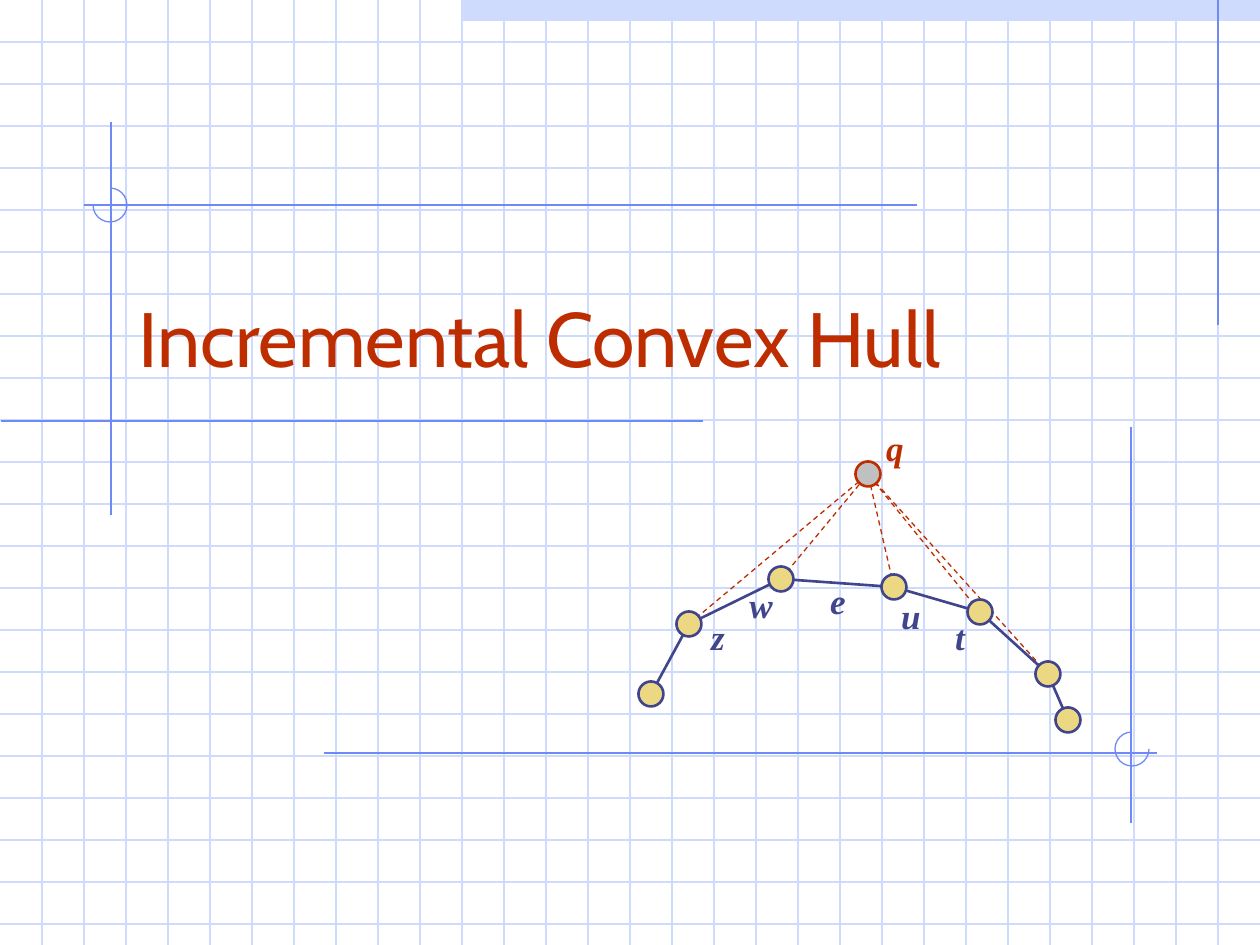
"""Build the Incremental Convex Hull title slide on graph paper."""
from dataclasses import dataclass

from lxml import etree
from pptx import Presentation, util as u
from pptx.dml.color import RGBColor
from pptx.enum import dml, shapes, text
from pptx.oxml.ns import qn

WIDTH, HEIGHT, PITCH = 1260, 945, 42
TITLE = "Incremental Convex Hull"
TITLE_BOX = (126, 231, 1071, 158)
BAR = (462, 0, 798, 21)
ACCENTS = [
    (1218, 0, 1218, 325),
    (111, 122, 111, 515),
    (703, 421, 1, 421),
    (917, 205, 84, 205),
    (324, 753, 1157, 753),
    (1131, 427, 1131, 823),
]
ARCS = [((110, 205), 270, 180), ((1132, 749), 0, 270)]
ARC_SIZE = 34
HULL = [(651, 694), (689, 624), (781, 579), (894, 587),
        (980, 612), (1048, 674), (1068, 720)]
QUERY = (868, 474)
NODE_SIZE = 25
LABELS = [("z", 718, 609), ("w", 761, 577), ("e", 838, 573),
          ("u", 911, 588), ("t", 960, 609)]
QUERY_LABEL = ("q", 895, 420)
LABEL_WIDTH, LABEL_HEIGHT = 66, 55


@dataclass(frozen=True)
class Theme:
    grid: str = "CFDBFD"
    accent: str = "6F89F7"
    red: str = "BE2D00"
    navy: str = "40458C"
    node: str = "ECD882"
    query: str = "C0C0C0"
    title_font: str = "Cabin"
    label_font: str = "Times New Roman"
    title_size: int = 44
    label_size: int = 20
    thin: float = 0.75
    thick: float = 1.5


THEME = Theme()


def px(*values):
    return [u.Emu(round(value * u.Inches(1) / 126)) for value in values]


def centred(point, size):
    return point[0] - size / 2, point[1] - size / 2, size, size


def style_line(line, color, weight):
    line.color.rgb = RGBColor.from_string(color)
    line.width = u.Pt(weight)


def add_line(page, ends, color, weight=THEME.thin, dashed=False):
    line = page.shapes.add_connector(shapes.MSO_CONNECTOR.STRAIGHT, *px(*ends))
    style_line(line.line, color, weight)
    if dashed:
        line.line.dash_style = dml.MSO_LINE.DASH
    etree.SubElement(line._element.spPr, qn("a:effectLst"))


def add_shape(page, kind, frame, fill=None, outline=None, weight=THEME.thin):
    shape = page.shapes.add_shape(kind, *px(*frame))
    shape.shadow.inherit = False
    if fill:
        shape.fill.solid()
        shape.fill.fore_color.rgb = RGBColor.from_string(fill)
    else:
        shape.fill.background()
    if outline:
        style_line(shape.line, outline, weight)
    else:
        shape.line.fill.background()
    return shape


def add_text(page, words, frame, font, size, color, anchor, align, strong=False):
    box = page.shapes.add_textbox(*px(*frame)).text_frame
    box.word_wrap = True
    box.vertical_anchor = anchor
    para = box.paragraphs[0]
    para.alignment = align
    span = para.add_run()
    span.text = words
    span.font.name = font
    span.font.size = u.Pt(size)
    span.font.bold = span.font.italic = strong
    span.font.color.rgb = RGBColor.from_string(color)


def add_label(page, label, color):
    letter, center, top = label
    frame = (center - LABEL_WIDTH / 2, top, LABEL_WIDTH, LABEL_HEIGHT)
    add_text(page, letter, frame, THEME.label_font, THEME.label_size, color,
             text.MSO_ANCHOR.TOP, text.PP_ALIGN.CENTER, strong=True)


def draw_paper(page):
    add_shape(page, shapes.MSO_SHAPE.RECTANGLE, BAR, THEME.grid)
    for y in range(PITCH, HEIGHT, PITCH):
        add_line(page, (0, y, WIDTH, y), THEME.grid)
    for x in range(PITCH, WIDTH, PITCH):
        add_line(page, (x, 0, x, HEIGHT), THEME.grid)
    for ends in ACCENTS:
        add_line(page, ends, THEME.accent)
    for center, start, end in ARCS:
        arc = add_shape(page, shapes.MSO_SHAPE.ARC, centred(center, ARC_SIZE),
                        outline=THEME.accent)
        arc.adjustments[0], arc.adjustments[1] = start * 0.6, end * 0.6


def draw_hull(page):
    for start, end in zip(HULL, HULL[1:]):
        add_line(page, start + end, THEME.navy, THEME.thick)
    for point in HULL[1:-1]:
        add_line(page, point + QUERY, THEME.red, dashed=True)
    nodes = [(point, THEME.node, THEME.navy) for point in HULL]
    for point, fill, outline in nodes + [(QUERY, THEME.query, THEME.red)]:
        add_shape(page, shapes.MSO_SHAPE.OVAL, centred(point, NODE_SIZE),
                  fill, outline, THEME.thick)
    for label in LABELS:
        add_label(page, label, THEME.navy)
    add_label(page, QUERY_LABEL, THEME.red)


def main():
    deck = Presentation()
    deck.slide_width, deck.slide_height = px(WIDTH, HEIGHT)
    page = deck.slides.add_slide(deck.slide_layouts[6])
    draw_paper(page)
    add_text(page, TITLE, TITLE_BOX, THEME.title_font, THEME.title_size,
             THEME.red, text.MSO_ANCHOR.BOTTOM, text.PP_ALIGN.LEFT)
    draw_hull(page)
    deck.save("out.pptx")


if __name__ == "__main__":
    main()
